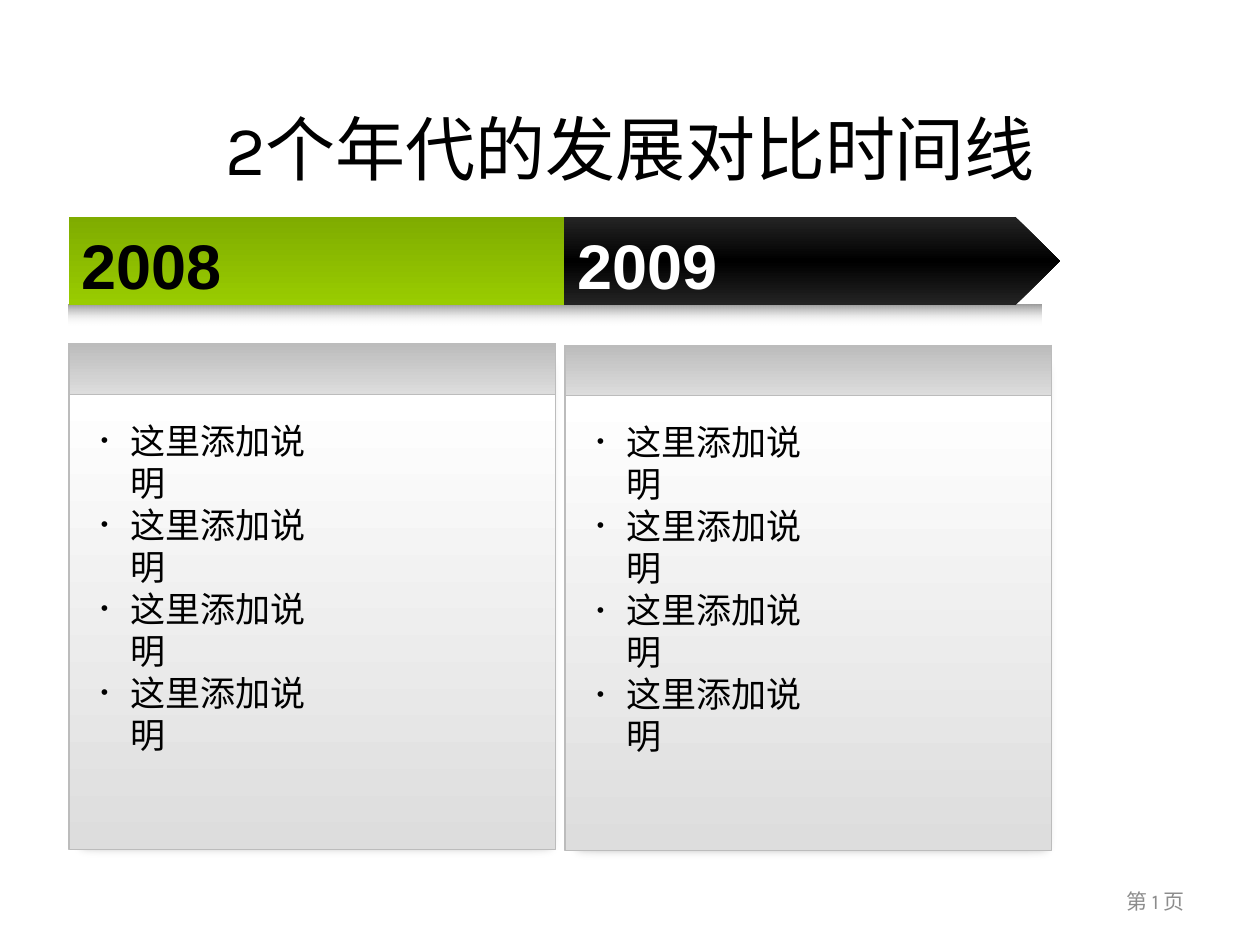
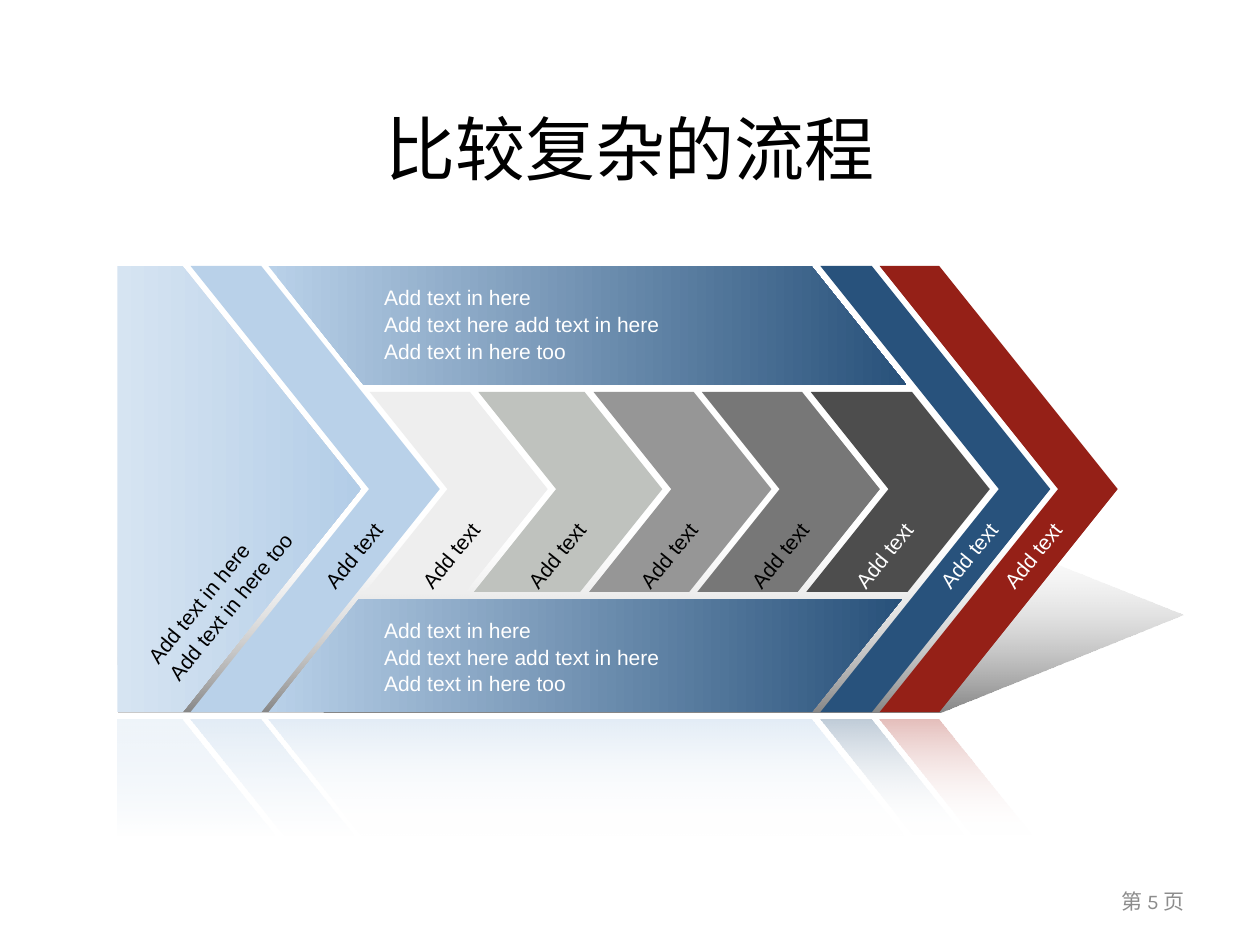
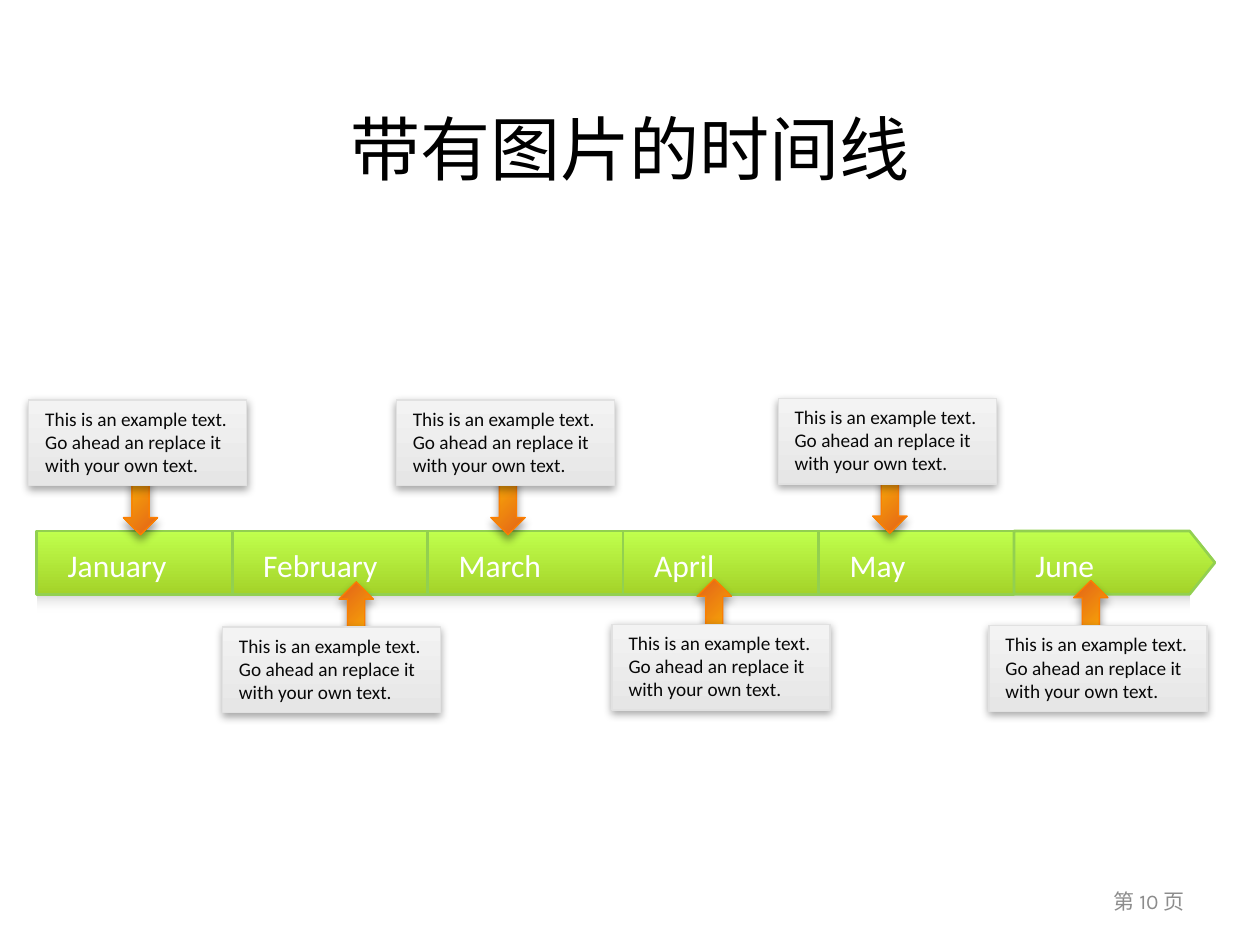
from dataclasses import dataclass
from typing import Any

import pptx
import pptx.dml.color
import pptx.enum.shapes
import pptx.enum.text
import pptx.oxml
import pptx.oxml.ns
import pptx.util

Pt = pptx.util.Pt
RGBColor = pptx.dml.color.RGBColor
SHAPE = pptx.enum.shapes.MSO_SHAPE
ALIGN = pptx.enum.text.PP_ALIGN
ANCHOR = pptx.enum.text.MSO_ANCHOR
AUTO_SIZE = pptx.enum.text.MSO_AUTO_SIZE
qn = pptx.oxml.ns.qn
NAMESPACE = pptx.oxml.ns.nsdecls("a")

COLORS = {
    "black": "000000",
    "white": "FFFFFF",
    "footer": "8C8C8C",
    "panel_border": "BCBCBC",
    "panel_shade": "DDDDDD",
    "panel_shadow": "BFBFBF",
    "strip_shadow": "969696",
    "green_dark": "7FAC00",
    "green": "99CC00",
    "charcoal": "242424",
    "ice": "D6E4F2",
    "ice_dark": "B3CDE7",
    "sky": "B9D1E9",
    "sky_pale": "C8DBEE",
    "navy": "28527C",
    "navy_dark": "28517A",
    "red": "952017",
    "red_bright": "A6241A",
    "step_1": "EEEEEE",
    "step_2": "BFC2BE",
    "step_3": "969696",
    "step_4": "777777",
    "step_5": "4D4D4D",
    "lime": "C0FF4D",
    "lime_dark": "A4D329",
    "lime_border": "92D050",
    "month_shadow": "171717",
    "amber": "FFC000",
    "orange": "E36119",
    "orange_border": "FC7E00",
    "card_dark": "E6E6E6",
    "card": "F3F3F3",
    "card_border": "E1E1E1",
    "card_text": "080808",
}


@dataclass(frozen=True)
class Box:
    left: float
    top: float
    width: float
    height: float


@dataclass(frozen=True)
class Stop:
    position: int
    color: str
    opacity: int = 100


@dataclass(frozen=True)
class Gradient:
    stops: tuple[Stop, ...]
    angle: int = 90


@dataclass(frozen=True)
class Shadow:
    opacity: int
    blur: float
    distance: float


@dataclass(frozen=True)
class TextStyle:
    size: float
    font: str
    color: str
    bold: bool = False
    align: Any = ALIGN.LEFT
    spacing: float = 1.0


Fill = str | Gradient


def fade(start: str, end: str, angle: int = 90, opacity: int = 100, end_opacity: int = 100) -> Gradient:
    return Gradient((Stop(0, start, opacity), Stop(100, end, end_opacity)), angle)


TITLE = TextStyle(40, "Karla", "black", align=ALIGN.CENTER)
FOOTER = TextStyle(12, "Karla", "footer", align=ALIGN.RIGHT)


def color(name: str) -> RGBColor:
    return RGBColor.from_string(COLORS[name])


def apply_fill(fill_format: Any, properties: Any, fill: Fill) -> None:
    """Fill a shape or cell whose XML properties element is given."""
    if isinstance(fill, str):
        fill_format.solid()
        fill_format.fore_color.rgb = color(fill)
        return
    stops = "".join(
        f'<a:gs pos="{stop.position * 1000}"><a:srgbClr val="{COLORS[stop.color]}">'
        f'<a:alpha val="{stop.opacity * 1000}"/></a:srgbClr></a:gs>'
        for stop in fill.stops
    )
    fill_format.background()
    properties.replace(
        properties.find(qn("a:noFill")),
        pptx.oxml.parse_xml(
            f'<a:gradFill {NAMESPACE} rotWithShape="1"><a:gsLst>{stops}</a:gsLst>'
            f'<a:lin ang="{fill.angle * 60000}" scaled="0"/></a:gradFill>'
        ),
    )


def add_effect(shape: Any, xml: str) -> None:
    shape.element.spPr.find(qn("a:effectLst")).append(pptx.oxml.parse_xml(xml))


def style_shape(shape: Any, fill: Fill, line: str = "", line_width: float = 0.75,
                shadow: Shadow | None = None) -> None:
    apply_fill(shape.fill, shape.element.spPr, fill)
    if line:
        shape.line.color.rgb = color(line)
        shape.line.width = Pt(line_width)
    else:
        shape.line.fill.background()
    shape.shadow.inherit = False
    if shadow:
        add_effect(
            shape,
            f'<a:outerShdw {NAMESPACE} blurRad="{Pt(shadow.blur)}" dist="{Pt(shadow.distance)}" '
            f'dir="5400000" algn="t" rotWithShape="0"><a:srgbClr val="{COLORS["black"]}">'
            f'<a:alpha val="{shadow.opacity * 1000}"/></a:srgbClr></a:outerShdw>',
        )


def place(shape: Any, box: Box) -> None:
    shape.left, shape.top = Pt(box.left), Pt(box.top)
    shape.width, shape.height = Pt(box.width), Pt(box.height)


def add_preset(slide: Any, kind: Any, box: Box, fill: Fill, line: str = "",
               line_width: float = 0.75, shadow: Shadow | None = None) -> Any:
    shape = slide.shapes.add_shape(kind, Pt(box.left), Pt(box.top), Pt(box.width), Pt(box.height))
    style_shape(shape, fill, line, line_width, shadow)
    return shape


def add_outline(slide: Any, points: list[tuple[float, float]], fill: Fill) -> None:
    start, *others = [(Pt(x), Pt(y)) for x, y in points]
    builder = slide.shapes.build_freeform(*start)
    builder.add_line_segments(others, close=True)
    style_shape(builder.convert_to_shape(), fill)


def write_text(frame: Any, lines: list[str], style: TextStyle, bullets: bool = False) -> None:
    for index, line in enumerate(lines):
        paragraph = frame.paragraphs[0] if index == 0 else frame.add_paragraph()
        if bullets:
            properties = paragraph._p.get_or_add_pPr()
            properties.set("marL", str(Pt(17)))
            properties.set("indent", str(Pt(-17)))
            for xml in ('buSzPct {} val="60000"', 'buFont {} typeface="Arial"', 'buChar {} char="•"'):
                properties.append(pptx.oxml.parse_xml(f"<a:{xml.format(NAMESPACE)}/>"))
        paragraph.alignment = style.align
        paragraph.space_before = Pt(0)
        paragraph.line_spacing = style.spacing
        run = paragraph.add_run()
        run.text = line
        run.font.size = Pt(style.size)
        run.font.name = style.font
        run.font.bold = style.bold
        run.font.color.rgb = color(style.color)


def add_text(slide: Any, box: Box, lines: list[str], style: TextStyle, anchor: Any = ANCHOR.TOP,
             wrap: bool = True, rotation: float = 0) -> None:
    shape = slide.shapes.add_textbox(Pt(box.left), Pt(box.top), Pt(box.width), Pt(box.height))
    shape.rotation = rotation
    shape.text_frame.word_wrap = wrap
    shape.text_frame.vertical_anchor = anchor
    write_text(shape.text_frame, lines, style)


def add_slide(presentation: Any, layout_name: str, title: str, page: int) -> Any:
    """Add a slide with the shared title and page number."""
    slide = presentation.slides.add_slide(presentation.slide_layouts.get_by_name(layout_name))
    place(slide.shapes.title, Box(36, 56, 648, 56))
    frame = slide.shapes.title.text_frame
    frame.vertical_anchor = ANCHOR.MIDDLE
    write_text(frame, [title], TITLE)
    add_text(slide, Box(516, 500.5, 168, 28.75), [f"第 {page} 页"], FOOTER, ANCHOR.MIDDLE)
    return slide


# Comparison of two years

PANEL_WIDTH = 278


def add_panel_header(slide: Any, left: float, top: float) -> None:
    frame = slide.shapes.add_table(1, 1, Pt(left), Pt(top), Pt(PANEL_WIDTH), Pt(23))
    cell = frame.table.cell(0, 0)
    properties = cell._tc.get_or_add_tcPr()
    apply_fill(cell.fill, properties, fade("panel_border", "panel_shade"))
    for index, side in enumerate("LRTB"):
        properties.insert(index, pptx.oxml.parse_xml(
            f'<a:ln{side} {NAMESPACE} w="{Pt(1)}"><a:solidFill>'
            f'<a:srgbClr val="{COLORS["panel_border"]}"/></a:solidFill></a:ln{side}>'
        ))


def add_panel(slide: Any, placeholder: Any, left: float, top: float) -> None:
    backdrop = add_preset(slide, SHAPE.RECTANGLE, Box(left - 1, top + 4, 284, 292), "panel_shadow")
    add_effect(backdrop, f'<a:softEdge {NAMESPACE} rad="{Pt(6)}"/>')
    add_panel_header(slide, left, top)
    add_preset(slide, SHAPE.RECTANGLE, Box(left, top + 28.8, PANEL_WIDTH, 260),
               fade("white", "panel_shade"), "panel_border")
    place(placeholder, Box(left + 11, top + 39.5, 140, 200))
    placeholder.text_frame.word_wrap = True
    placeholder.text_frame.auto_size = AUTO_SIZE.NONE
    write_text(placeholder.text_frame, ["这里添加说明"] * 4, TextStyle(20, "Arial", "black"), bullets=True)
    placeholder.element.getparent().append(placeholder.element)


def build_year_comparison(presentation: Any) -> None:
    slide = add_slide(presentation, "Two Content", "2个年代的发展对比时间线", 1)
    add_preset(slide, SHAPE.RECTANGLE, Box(39.3, 174.3, 556, 11.5),
               fade("strip_shadow", "white", end_opacity=0))
    glossy = Gradient((Stop(0, "charcoal"), Stop(50, "black"), Stop(100, "charcoal")))
    later = add_preset(slide, SHAPE.PENTAGON, Box(322, 124, 283.5, 50.3), glossy)
    later.adjustments[0] = 0.5
    earlier = add_preset(slide, SHAPE.PENTAGON, Box(39.3, 124, 283, 50.3), fade("green_dark", "green"))
    earlier.adjustments[0] = 0
    for left, year, text_color in ((39.3, "2008", "black"), (322.7, "2009", "white")):
        add_text(slide, Box(left, 126, 94.5, 50.5), [year],
                 TextStyle(36, "Arial", text_color, bold=True), wrap=False)
    add_panel(slide, slide.placeholders[1], 39.4, 196.5)
    add_panel(slide, slide.placeholders[2], 322.8, 197.3)


# Nested chevron process

SLOPE = 0.8
TOP, APEX, BOTTOM = 152, 279.5, 407
FLAT_LEFT = 67
MIRROR = 409
REFLECTION_TOP, REFLECTION_BOTTOM = 411, 477.5


@dataclass(frozen=True)
class Band:
    """A slice between two slanted edges, named by where each reaches the apex height."""
    notch: float | None
    tip: float
    fill: Fill
    top: float = TOP
    bottom: float = BOTTOM
    label_left: float = 0
    label_color: str = "black"
    reflection: Gradient | None = None


def edge(apex_x: float | None, y: float) -> float:
    return FLAT_LEFT if apex_x is None else apex_x - SLOPE * abs(y - APEX)


def band_points(band: Band, levels: list[float], mirrored: bool = False) -> list[tuple[float, float]]:
    def side(apex_x: float | None) -> list[tuple[float, float]]:
        return [(edge(apex_x, 2 * MIRROR - y if mirrored else y), y) for y in levels]

    return side(band.notch) + side(band.tip)[::-1]


CORE_TOP, CORE_BOTTOM = 224, 338.2
BLUE_FADE = fade("sky", "navy_dark", 0)
STEPS = [
    Band(notch, tip, f"step_{number}", CORE_TOP, CORE_BOTTOM, label_left, label_color)
    for number, (notch, tip, label_left, label_color) in enumerate((
        (255.7, 313, 224, "black"),
        (317.8, 378.5, 284.5, "black"),
        (383.6, 440.8, 348.5, "black"),
        (445.5, 502.8, 412, "black"),
        (507.7, 565.6, 471.6, "white"),
    ), start=1)
]
BANDS = [
    Band(None, 206.2, fade("ice", "ice_dark", 0),
         reflection=fade("ice", "ice_dark", opacity=40, end_opacity=0)),
    Band(604.6, 638.7, "red", label_left=556.6, label_color="white",
         reflection=fade("red_bright", "white", opacity=30, end_opacity=0)),
    Band(570.8, 600.2, "navy", label_left=520, label_color="white",
         reflection=fade("navy", "white", opacity=30, end_opacity=0)),
    *STEPS,
    Band(255.4, 565.6, BLUE_FADE, top=342),
    Band(255.4, 565.6, BLUE_FADE, bottom=220.3),
    Band(210.9, 251.3, "sky", label_left=168.5,
         reflection=fade("sky", "sky_pale", opacity=40, end_opacity=0)),
]
CENTER_REFLECTION = Band(255.4, 565.6, BLUE_FADE,
                         reflection=fade("sky", "white", opacity=40, end_opacity=0))


def build_chevron_process(presentation: Any) -> None:
    slide = add_slide(presentation, "Title Only", "比较复杂的流程", 5)
    add_outline(slide, [(541.5, 298), (67, 298.5), (67.5, 406.5), (536.7, 407), (676, 351.3)],
                fade("white", "black", opacity=0, end_opacity=48))
    for band in BANDS:
        levels = [y for y in (band.top, APEX, band.bottom) if band.top <= y <= band.bottom]
        add_outline(slide, band_points(band, levels), band.fill)
    for band in [*BANDS, CENTER_REFLECTION]:
        if band.reflection:
            points = band_points(band, [REFLECTION_TOP, REFLECTION_BOTTOM], mirrored=True)
            add_outline(slide, points, band.reflection)

    black, white = (TextStyle(12, "Arial", name, spacing=1.06) for name in ("black", "white"))
    add_text(slide, Box(59.8, 310.3, 150.5, 36.7), ["Add text in here", "Add text in here too"],
             black, rotation=309)
    for top in (348.5, 158.4):
        add_text(slide, Box(212.4, top, 240, 51),
                 ["Add text in here", "Add text here add text in here", "Add text in here too"], white)
    for band in BANDS:
        if band.label_left:
            add_text(slide, Box(band.label_left, 298, 78.5, 21.6), ["Add text"],
                     black if band.label_color == "black" else white, rotation=309)


# Monthly timeline

@dataclass(frozen=True)
class Callout:
    left: float
    top: float
    arrow_offset: float
    above: bool


MONTHS = ["January", "February", "March", "April", "May", "June"]
MONTH_LEFT, MONTH_TOP, MONTH_WIDTH, MONTH_HEIGHT = 21, 303.4, 111.7, 36.2
CALLOUTS = [
    Callout(16.5, 228.5, 54, True),
    Callout(226.5, 228.5, 54, True),
    Callout(444.7, 227.6, 54, True),
    Callout(127.2, 358.3, 66.5, False),
    Callout(349.8, 356.7, 48.5, False),
    Callout(565.2, 357.5, 48.3, False),
]


def add_callout(slide: Any, callout: Callout) -> None:
    arrow_top = callout.top + (34.6 if callout.above else -25.8)
    arrow = add_preset(slide, SHAPE.DOWN_ARROW,
                       Box(callout.left + callout.arrow_offset, arrow_top, 19.6, 42.5),
                       fade("amber", "orange", 45), "orange_border", shadow=Shadow(40, 5, 3))
    arrow.rotation = 0 if callout.above else 180
    add_preset(slide, SHAPE.RECTANGLE, Box(callout.left, callout.top, 124.6, 49),
               fade("card_dark", "card", 270), "card_border", shadow=Shadow(35, 5, 1.8))
    add_text(slide, Box(callout.left + 2.3, callout.top + 0.5, 119.5, 46.8),
             ["This is an example text. Go ahead an replace it with your own text."],
             TextStyle(11, "Calibri", "card_text"))


def build_month_timeline(presentation: Any) -> None:
    slide = add_slide(presentation, "Title Only", "带有图片的时间线", 10)
    add_preset(slide, SHAPE.RECTANGLE, Box(21.6, 324.7, 658, 25.2),
               fade("month_shadow", "white", end_opacity=0))
    for index, month in enumerate(MONTHS):
        last = month == MONTHS[-1]
        left = MONTH_LEFT + index * MONTH_WIDTH
        segment = add_preset(slide, SHAPE.PENTAGON if last else SHAPE.RECTANGLE,
                             Box(left, MONTH_TOP, 114.8 if last else MONTH_WIDTH, MONTH_HEIGHT),
                             fade("lime", "lime_dark"), "lime_border", 1.5)
        if last:
            segment.adjustments[0] = 0.4
        add_text(slide, Box(left + (5 if last else 10.6), 311, MONTH_WIDTH, 24), [month],
                 TextStyle(18, "Calibri", "white"), ANCHOR.MIDDLE)
    for callout in CALLOUTS:
        add_callout(slide, callout)


def main() -> None:
    presentation = pptx.Presentation()
    presentation.slide_width, presentation.slide_height = Pt(720), Pt(540)
    build_year_comparison(presentation)
    build_chevron_process(presentation)
    build_month_timeline(presentation)
    presentation.save("out.pptx")


if __name__ == "__main__":
    main()
